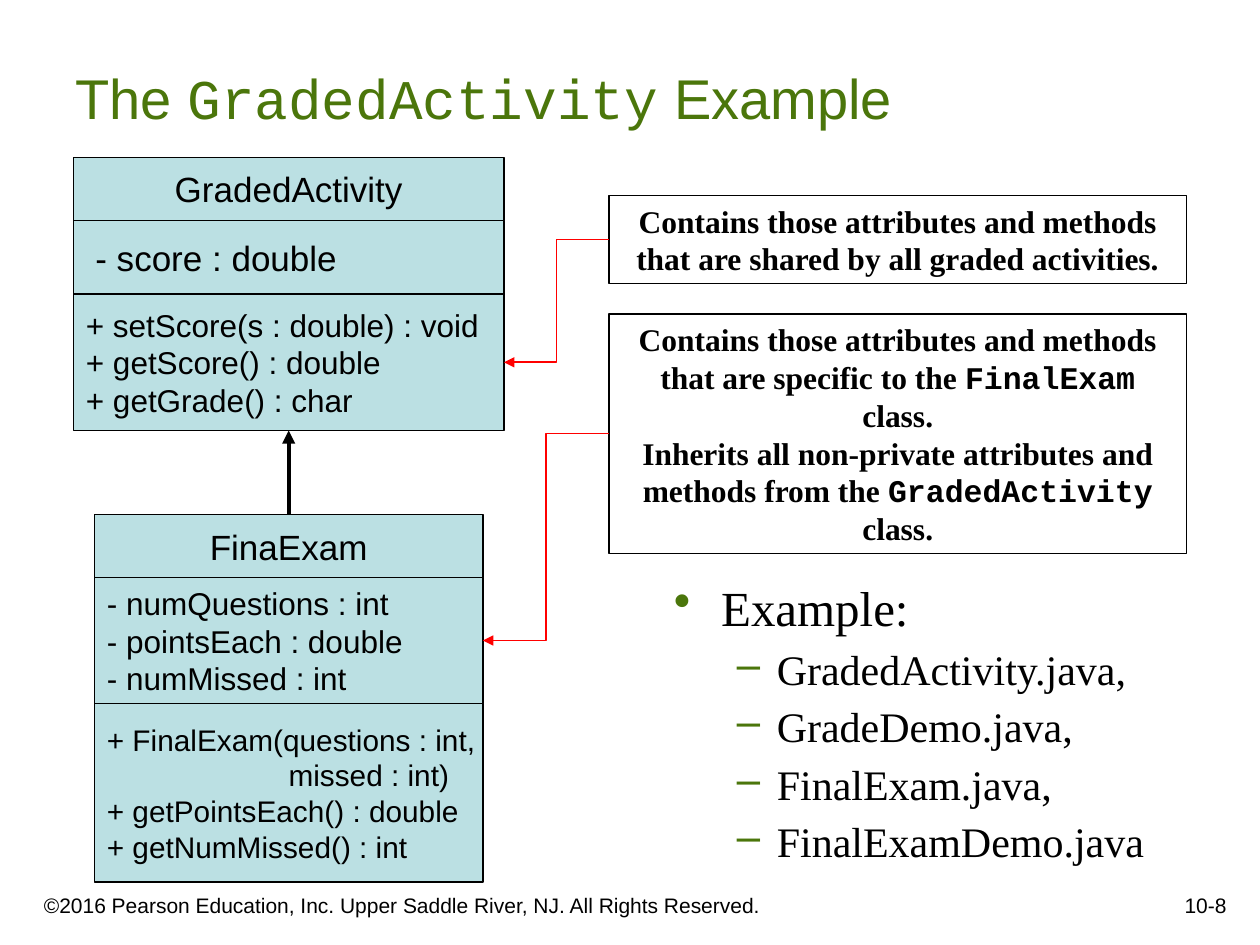
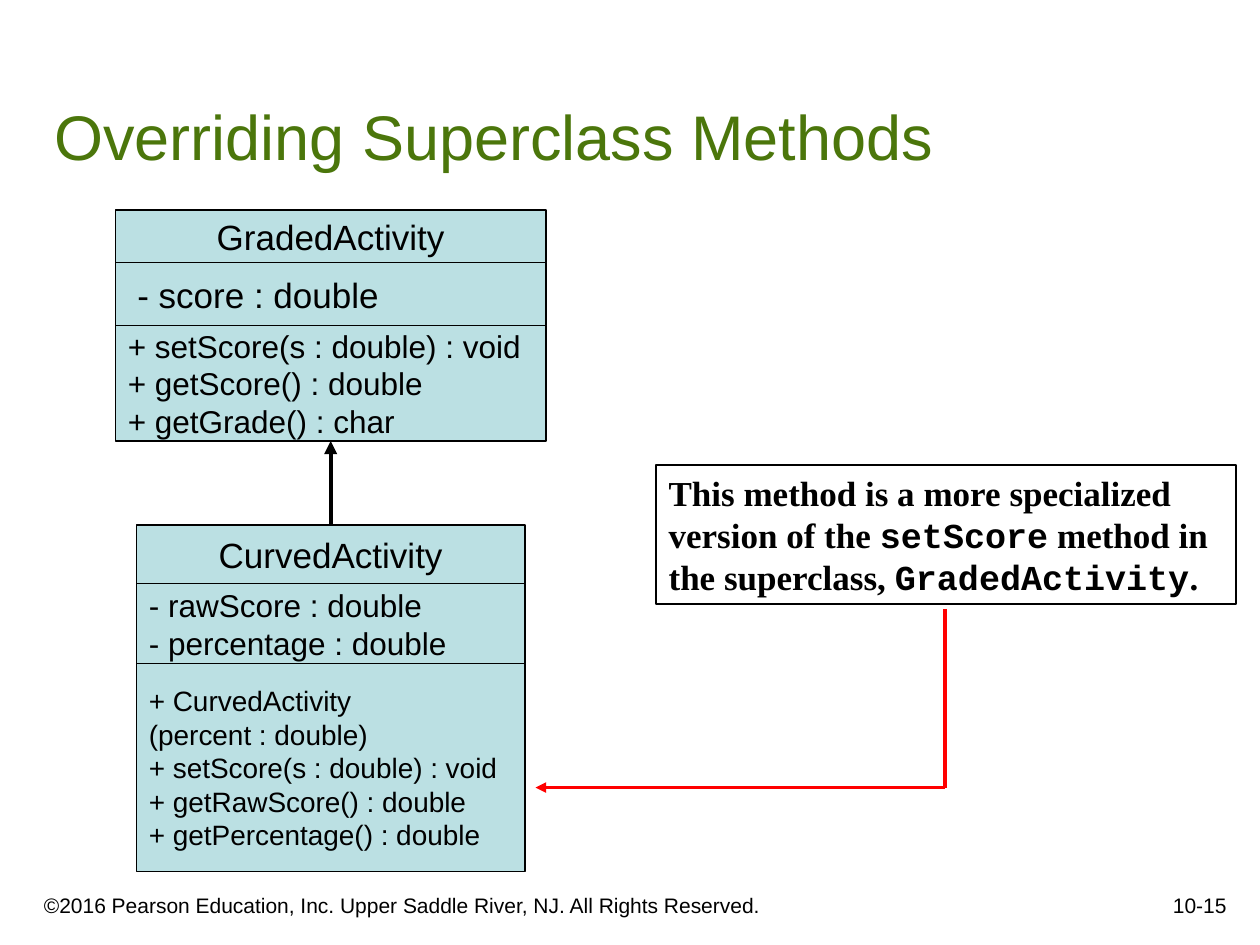
from dataclasses import dataclass
from typing import NamedTuple

from lxml.etree import SubElement
from pptx import Presentation
from pptx.dml.color import RGBColor
from pptx.enum.shapes import MSO_CONNECTOR, MSO_SHAPE
from pptx.enum.text import MSO_ANCHOR, PP_ALIGN
from pptx.oxml.ns import qn
from pptx.util import Emu, Pt

PX = 7620


def px(n: int) -> Emu:
    return Emu(n * PX)


@dataclass(frozen=True)
class Theme:
    accent: RGBColor = RGBColor(0x4B, 0x76, 0x0B)
    ink: RGBColor = RGBColor(0, 0, 0)
    pointer: RGBColor = RGBColor(0xFF, 0, 0)
    panel: RGBColor = RGBColor(0xBB, 0xE0, 0xE3)
    sans: str = "Arial"
    serif: str = "Times New Roman"
    mono: str = "Courier New"
    footer: int = 12
    heading: int = 20
    member: int = 18
    bullet: int = 28
    sub_bullet: int = 24


THEME = Theme()
FOOTER = "©2016 Pearson Education, Inc. Upper Saddle River, NJ. All Rights Reserved."


class Box(NamedTuple):
    x: int
    y: int
    w: int
    h: int

    @property
    def emu(self) -> list:
        return [px(n) for n in self]


class Style(NamedTuple):
    size: int
    name: str = THEME.sans
    color: RGBColor = THEME.ink
    bold: bool = False
    align: PP_ALIGN = PP_ALIGN.LEFT


class Line(NamedTuple):
    text: str
    indent: int = 0


class Section(NamedTuple):
    height: int
    lines: list[Line]
    size: int = THEME.member
    align: PP_ALIGN = PP_ALIGN.LEFT


@dataclass
class UmlClass:
    x: int
    y: int
    w: int
    sections: list[Section]

    @property
    def center(self) -> int:
        return self.x + self.w // 2

    @property
    def bottom(self) -> int:
        return self.y + sum(s.height for s in self.sections)


class Note(NamedTuple):
    box: Box
    texts: list[str]
    style: Style
    anchor: MSO_ANCHOR = MSO_ANCHOR.MIDDLE
    line: float = 0.75


class Bullet(NamedTuple):
    text: str
    char: str
    size: int
    indent: int
    hang: int


def write(tf, lines: list[Line], style: Style) -> None:
    for i, line in enumerate(lines):
        p = tf.paragraphs[0] if i == 0 else tf.add_paragraph()
        p.alignment = style.align
        if line.indent:
            p._p.get_or_add_pPr().set("marL", str(px(line.indent)))
        p.font.size, p.font.name, p.font.bold = Pt(style.size), style.name, style.bold
        p.font.color.rgb = style.color
        for j, part in enumerate(line.text.split("`")):
            r = p.add_run()
            r.text = part
            if j % 2:
                r.font.name = THEME.mono


def add_text(slide, box: Box, text: str, style: Style) -> None:
    tf = slide.shapes.add_textbox(*box.emu).text_frame
    tf.word_wrap = True
    tf.vertical_anchor = MSO_ANCHOR.BOTTOM
    write(tf, [Line(text)], style)


def add_rect(shapes, box: Box, line: float, filled: bool):
    sp = shapes.add_shape(MSO_SHAPE.RECTANGLE, *box.emu)
    sp.shadow.inherit = False
    if filled:
        sp.fill.solid()
        sp.fill.fore_color.rgb = THEME.panel
    else:
        sp.fill.background()
    sp.line.color.rgb = THEME.ink
    sp.line.width = Pt(line)
    return sp


def add_uml_class(slide, uml: UmlClass) -> None:
    group = slide.shapes.add_group_shape()
    y = uml.y
    for section in uml.sections:
        sp = add_rect(group.shapes, Box(uml.x, y, uml.w, section.height), 0.75, True)
        tf = sp.text_frame
        tf.word_wrap = False
        tf.vertical_anchor = MSO_ANCHOR.MIDDLE
        write(tf, section.lines, Style(section.size, align=section.align))
        y += section.height


def add_note(slide, note: Note) -> None:
    tf = add_rect(slide.shapes, note.box, note.line, False).text_frame
    tf.word_wrap = True
    tf.vertical_anchor = note.anchor
    write(tf, [Line(t) for t in note.texts], note.style)


def add_line(slide, start: tuple[int, int], end: tuple[int, int], color: RGBColor,
             width: float, kind=MSO_CONNECTOR.STRAIGHT, arrow: bool = True) -> None:
    cxn = slide.shapes.add_connector(kind, *(px(n) for n in start + end))
    cxn.line.color.rgb = color
    cxn.line.width = Pt(width)
    if arrow:
        SubElement(cxn.line._get_or_add_ln(), qn("a:tailEnd"), type="triangle")
    SubElement(cxn._element.spPr, qn("a:effectLst"))


def add_hierarchy(slide, parent: UmlClass, child: UmlClass) -> None:
    add_uml_class(slide, parent)
    add_uml_class(slide, child)
    add_line(slide, (child.center, child.y), (parent.center, parent.bottom), THEME.ink, 2.5)


def add_bullets(slide, box: Box, bullets: list[Bullet]) -> None:
    tf = slide.shapes.add_textbox(*box.emu).text_frame
    tf.word_wrap = True
    tf.margin_right = 0
    write(tf, [Line(b.text) for b in bullets], Style(THEME.bullet, THEME.serif))
    for i, (p, b) in enumerate(zip(tf.paragraphs, bullets)):
        pPr = p._p.get_or_add_pPr()
        pPr.set("marL", str(px(b.indent)))
        pPr.set("indent", str(px(-b.hang)))
        color = pPr.makeelement(qn("a:buClr"))
        SubElement(color, qn("a:srgbClr"), val=str(THEME.accent))
        char = pPr.makeelement(qn("a:buChar"), char=b.char)
        pPr.insert(0, color)
        pPr.insert(1, char)
        p.line_spacing = 0.9
        if i:
            p.space_before = Pt(7)
        p.font.size = Pt(b.size)


def start_slide(prs, title: str, box: Box, size: int, number: str):
    slide = prs.slides.add_slide(prs.slide_layouts[6])
    add_text(slide, Box(30, 830, 730, 50), FOOTER, Style(THEME.footer))
    add_text(slide, Box(930, 820, 250, 60), number,
             Style(THEME.footer, align=PP_ALIGN.RIGHT))
    add_text(slide, box, title, Style(size, color=THEME.accent))
    return slide


def heading(height: int, name: str) -> Section:
    return Section(height, [Line(name)], THEME.heading, PP_ALIGN.CENTER)


def members(height: int, *texts: str, size: int = THEME.member) -> Section:
    return Section(height, [Line(t) for t in texts], size)


def graded_activity(x: int, y: int, heights: tuple[int, int, int]) -> UmlClass:
    name, fields, methods = heights
    return UmlClass(x, y, 410, [
        heading(name, "GradedActivity"),
        Section(fields, [Line("- score : double", 9)], THEME.heading),
        members(methods, "+ setScore(s : double) : void", "+ getScore() : double",
                "+ getGrade() : char"),
    ])


def build_example(prs) -> None:
    slide = start_slide(prs, "The `GradedActivity` Example", Box(60, 30, 1020, 100), 32, "10-8")
    final_exam = UmlClass(90, 490, 370, [
        heading(60, "FinaExam"),
        members(120, "- numQuestions : int", "- pointsEach : double", "- numMissed : int"),
        Section(170, [
            Line("+ FinalExam(questions : int,"),
            Line("missed : int)", 173),
            Line("+ getPointsEach() : double"),
            Line("+ getNumMissed() : int"),
        ], 17),
    ])
    add_hierarchy(slide, graded_activity(70, 150, (60, 70, 130)), final_exam)

    style = Style(18, THEME.serif, bold=True, align=PP_ALIGN.CENTER)
    shared = Note(Box(580, 186, 550, 84), [
        "Contains those attributes and methods that are shared by all graded activities.",
    ], style)
    specific = Note(Box(580, 299, 550, 228), [
        "Contains those attributes and methods that are specific to the `FinalExam` class.",
        "Inherits all non-private attributes and methods from the `GradedActivity` class.",
    ], style)
    for note, target in ((shared, (480, 345)), (specific, (460, 610))):
        add_note(slide, note)
        start = (note.box.x, note.box.y + note.box.h // 2)
        add_line(slide, start, target, THEME.pointer, 1, MSO_CONNECTOR.ELBOW)

    files = ["GradedActivity.java,", "GradeDemo.java,", "FinalExam.java,", "FinalExamDemo.java"]
    add_bullets(slide, Box(630, 550, 510, 280), [
        Bullet("Example:", "•", THEME.bullet, 45, 45),
        *(Bullet(f, "–", THEME.sub_bullet, 98, 38) for f in files),
    ])


def build_overriding(prs) -> None:
    slide = start_slide(prs, "Overriding Superclass Methods", Box(40, 40, 1130, 131), 36, "10-15")
    curved_activity = UmlClass(130, 500, 370, [
        heading(56, "CurvedActivity"),
        members(76, "- rawScore : double", "- percentage : double"),
        members(198, "+ CurvedActivity", "(percent : double)", "+ setScore(s : double) : void",
                "+ getRawScore() : double", "+ getPercentage() : double", size=16),
    ])
    add_hierarchy(slide, graded_activity(110, 200, (50, 60, 110)), curved_activity)
    add_note(slide, Note(Box(625, 443, 552, 132), [
        "This method is a more specialized version of the `setScore` method in "
        "the superclass, `GradedActivity`.",
    ], Style(20, THEME.serif, bold=True), MSO_ANCHOR.TOP, 1))
    corner = (900, 750)
    add_line(slide, corner, (510, 750), THEME.pointer, 2)
    add_line(slide, (900, 580), corner, THEME.pointer, 2, arrow=False)


def main() -> None:
    prs = Presentation()
    prs.slide_width, prs.slide_height = px(1200), px(900)
    build_example(prs)
    build_overriding(prs)
    prs.save("out.pptx")


if __name__ == "__main__":
    main()
